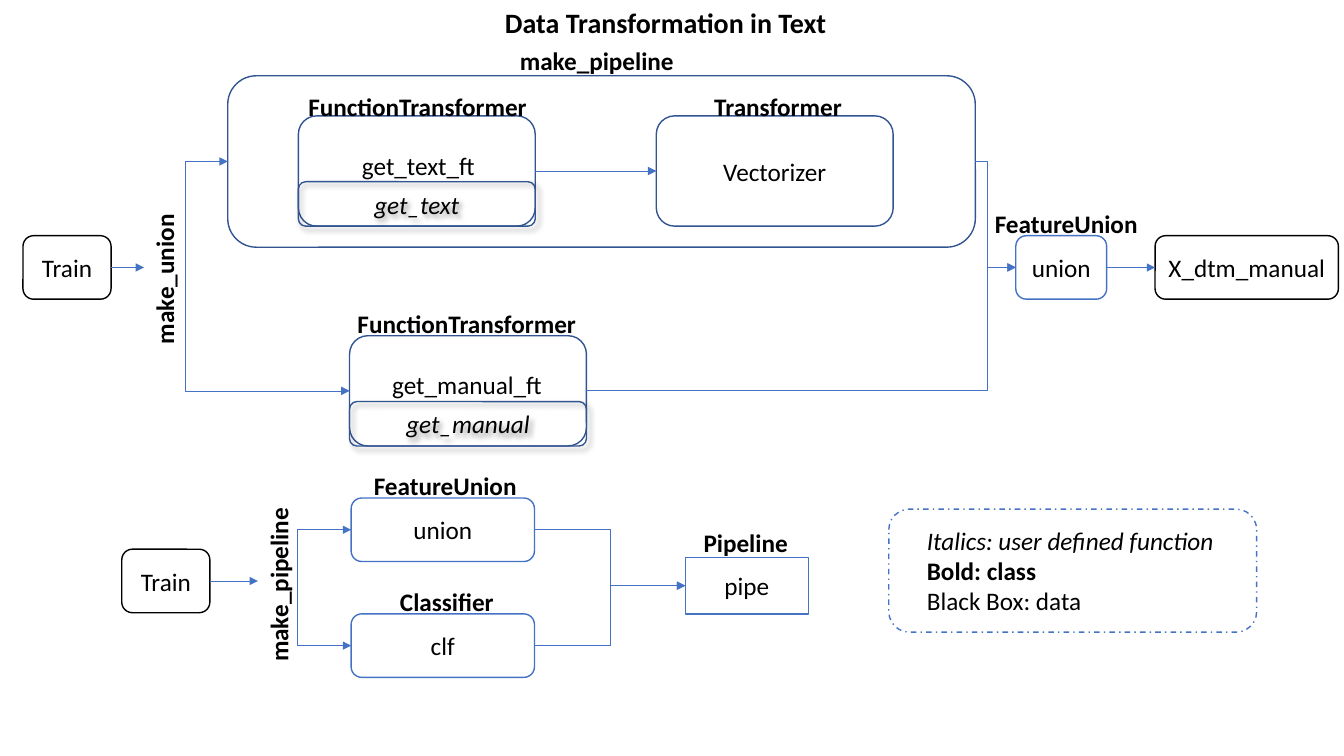
from lxml import etree
from pptx import Presentation
from pptx.dml.color import RGBColor
from pptx.enum.dml import MSO_LINE
from pptx.enum.shapes import MSO_CONNECTOR, MSO_SHAPE
from pptx.enum.text import MSO_ANCHOR, MSO_AUTO_SIZE, PP_ALIGN
from pptx.oxml import parse_xml
from pptx.oxml.ns import qn
from pptx.util import Cm, Pt

BLACK = RGBColor(0x00, 0x00, 0x00)
BLUE = RGBColor(0x44, 0x72, 0xC4)
NAVY = RGBColor(0x32, 0x54, 0x91)
ROUND = MSO_SHAPE.ROUNDED_RECTANGLE
RECT = MSO_SHAPE.RECTANGLE
STRAIGHT = MSO_CONNECTOR.STRAIGHT
ELBOW = MSO_CONNECTOR.ELBOW
DASH_DOT = MSO_LINE.DASH_DOT
LEFT = PP_ALIGN.LEFT
CENTER = PP_ALIGN.CENTER
TOP = MSO_ANCHOR.TOP
MIDDLE = MSO_ANCHOR.MIDDLE
NO_FIT = MSO_AUTO_SIZE.NONE
SHADOW = (
    '<a:effectLst xmlns:a="http://schemas.openxmlformats.org/drawingml/2006/main">'
    '<a:outerShdw blurRad="50800" dist="38100" dir="2700000" algn="tl" rotWithShape="0">'
    '<a:srgbClr val="000000"><a:alpha val="40000"/></a:srgbClr>'
    '</a:outerShdw></a:effectLst>'
)

deck = Presentation()
deck.slide_width = Cm(33.87)
deck.slide_height = Cm(19.05)
slide = deck.slides.add_slide(deck.slide_layouts[5])
shapes = slide.shapes


def write(shape, text, size=18, bold=False, italic=False, align=LEFT):
    frame = shape.text_frame
    frame.text = text
    frame.word_wrap = align == LEFT
    for line in frame.paragraphs:
        line.alignment = align
        for run in line.runs:
            run.font.name = "Calibri"
            run.font.size = Pt(size)
            run.font.bold = bold
            run.font.italic = italic
            run.font.color.rgb = BLACK


title = shapes.title
title.left, title.top, title.width, title.height = Cm(12.47), Cm(0), Cm(8.94), Cm(1.12)
write(title, "Data Transformation in Text", size=20, bold=True)
title.text_frame.vertical_anchor = TOP
title.text_frame.auto_size = NO_FIT

boxes = {}
for key, text, x, y, w, h, color in [
    ("train", "Train", 0.58, 5.94, 2.22, 1.6, BLACK),
    ("pipeline", "", 5.74, 1.91, 18.84, 4.32, NAVY),
    ("text", "", 7.52, 2.92, 5.97, 2.78, NAVY),
    ("vector", "Vectorizer", 16.54, 2.92, 5.97, 2.78, NAVY),
    ("manual", "", 8.81, 8.46, 5.97, 2.78, NAVY),
    ("union", "union", 25.6, 5.94, 2.29, 1.6, BLUE),
    ("matrix", "X_dtm_manual", 29.11, 5.94, 4.62, 1.6, BLACK),
    ("get_text", "get_text", 7.52, 4.58, 5.97, 1.12, NAVY),
    ("get_manual", "get_manual", 8.81, 10.12, 5.97, 1.12, NAVY),
    ("train_low", "Train", 3.07, 13.84, 2.22, 1.6, BLACK),
    ("union_low", "union", 8.85, 12.55, 4.62, 1.6, BLUE),
    ("clf", "clf", 8.85, 15.47, 4.62, 1.6, BLUE),
    ("pipe", "pipe", 17.27, 14.05, 3.1, 1.42, BLUE),
    ("legend", "", 22.4, 12.83, 9.27, 3.1, BLUE),
]:
    kind = RECT if key == "pipe" else ROUND
    box = shapes.add_shape(kind, Cm(x), Cm(y), Cm(w), Cm(h))
    box.fill.background()
    box.line.color.rgb = color
    box.line.width = Pt(1)
    box.shadow.inherit = False
    if text:
        write(box, text, italic=key.startswith("get"), align=CENTER)
        box.text_frame.vertical_anchor = MIDDLE
    boxes[key] = box

boxes["legend"].line.dash_style = DASH_DOT
for key in ("get_text", "get_manual"):
    props = boxes[key].element.spPr
    props.replace(props.find(qn("a:effectLst")), parse_xml(SHADOW))

for text, x, y, w, turn in [
    ("make_pipeline", 12.85, 1.02, 4.6, 0),
    ("FunctionTransformer", 7.52, 2.18, 6.3, 0),
    ("Transformer", 17.75, 2.18, 4.01, 0),
    ("make_union", 1.98, 6.25, 4.32, 270),
    ("FunctionTransformer", 8.76, 7.65, 6.3, 0),
    ("FeatureUnion", 24.82, 5.13, 4.32, 0),
    ("FeatureUnion", 9.17, 11.73, 4.32, 0),
    ("Classifier", 9.83, 14.66, 2.95, 0),
    ("make_pipeline", 4.72, 14.12, 4.6, 270),
    ("Pipeline", 17.48, 13.16, 3.1, 0),
]:
    label = shapes.add_textbox(Cm(x), Cm(y), Cm(w), Cm(1.02))
    label.rotation = turn
    write(label, text, bold=True)

for text, x, y, w in [
    ("get_text_ft", 8.79, 3.66, 3.51),
    ("get_manual_ft", 9.6, 9.19, 4.34),
]:
    write(shapes.add_textbox(Cm(x), Cm(y), Cm(w), Cm(1.02)), text, align=CENTER)

legend = shapes.add_textbox(Cm(23.11), Cm(13.11), Cm(7.85), Cm(2.57))
write(legend, "Italics: user defined function\nBold: class\nBlack Box: data")
lines = legend.text_frame.paragraphs
lines[0].runs[0].font.italic = True
lines[1].runs[0].font.bold = True

fork = (4.67, 6.74)
fork_low = (7.5, 14.64)
for start, end, rail in [
    ("train", (3.63, 6.74), None),
    (fork, "pipeline", 4.67),
    (fork, "manual", 4.67),
    ("text", "vector", None),
    ("pipeline", "union", 24.89),
    ("manual", "union", 24.89),
    ("union", "matrix", None),
    ("train_low", (6.5, 14.64), None),
    (fork_low, "union_low", 7.5),
    (fork_low, "clf", 7.5),
    ("union_low", "pipe", 15.39),
    ("clf", "pipe", 15.39),
]:
    x1, y1 = (0, 0) if start in boxes else start
    x2, y2 = (0, 0) if end in boxes else end
    link = shapes.add_connector(ELBOW if rail else STRAIGHT, Cm(x1), Cm(y1), Cm(x2), Cm(y2))
    if start in boxes:
        link.begin_connect(boxes[start], 3)
    if end in boxes:
        link.end_connect(boxes[end], 1)
    link.line.color.rgb = BLUE
    link.line.width = Pt(0.5)
    props = link.element.spPr
    etree.SubElement(props.find(qn("a:ln")), qn("a:tailEnd"), type="triangle")
    etree.SubElement(props, qn("a:effectLst"))
    if rail:
        bend = round((Cm(rail) - link.left) / link.width * 100000)
        guides = props.find(qn("a:prstGeom")).find(qn("a:avLst"))
        etree.SubElement(guides, qn("a:gd"), name="adj1", fmla=f"val {bend}")

deck.save("out.pptx")
